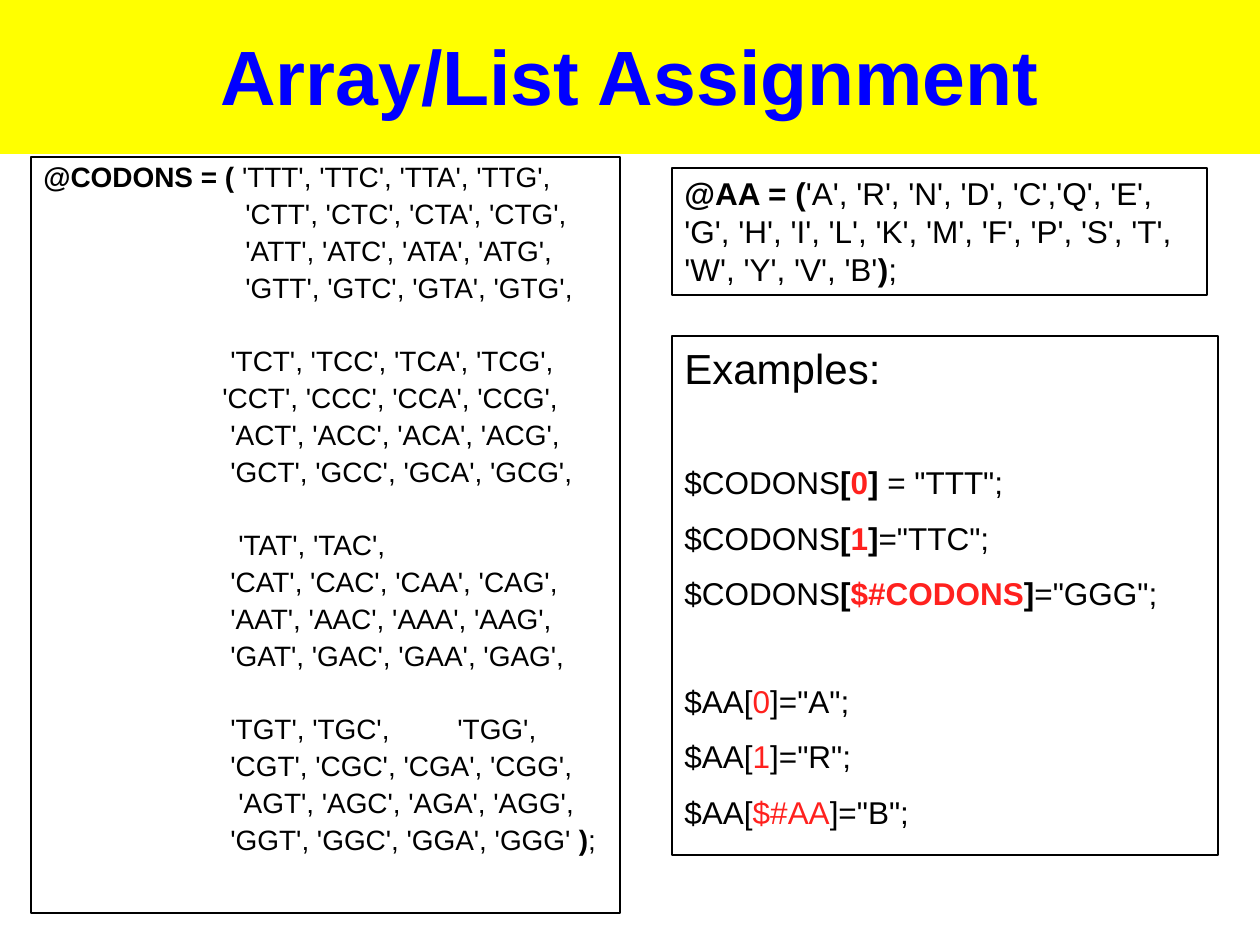
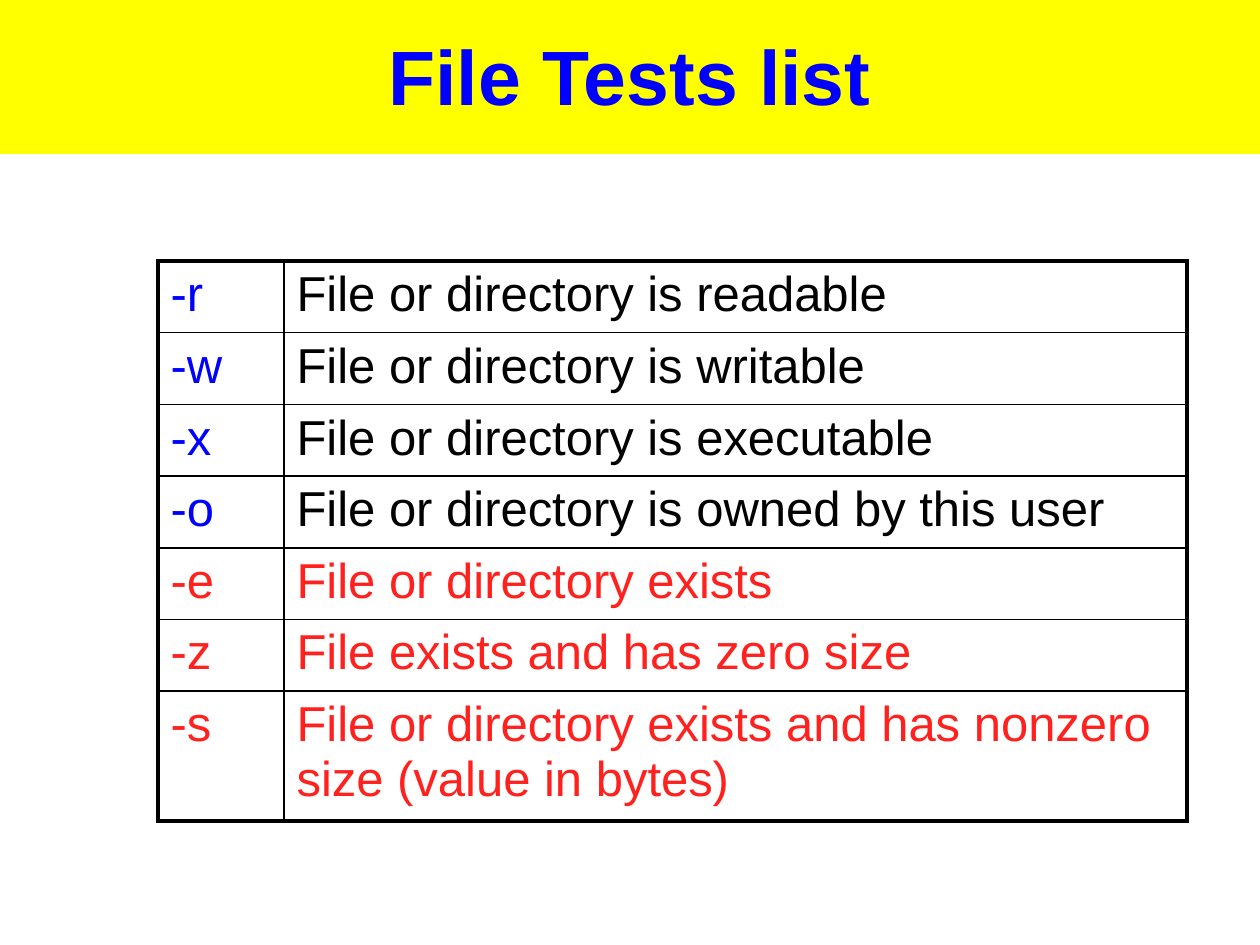
from lxml import etree
from pptx import Presentation
from pptx.dml.color import RGBColor
from pptx.enum.text import MSO_ANCHOR, PP_ALIGN
from pptx.oxml.ns import qn
from pptx.util import Emu, Pt

MIDDLE = MSO_ANCHOR.MIDDLE
CENTER = PP_ALIGN.CENTER
PX = 914400 / 126
FONT = "Arial"
COLORS = {"band": "FFFF00", "blue": "0000FF", "black": "000000", "red": "FF211E"}


def add_box(page, left, top, width, height):
    box = page.shapes.add_textbox(*(Emu(round(n * PX)) for n in (left, top, width, height)))
    box.text_frame.word_wrap = True
    return box


def write_spans(para, size, spans):
    for text, color, bold in spans:
        span = para.add_run()
        span.text = text
        span.font.name = FONT
        span.font.size = Pt(size)
        span.font.bold = bold
        span.font.color.rgb = RGBColor.from_string(COLORS[color])


deck = Presentation()
deck.slide_width = Emu(round(1260 * PX))
deck.slide_height = Emu(round(945 * PX))

pages = []
for title in ("Array/List Assignment", "File Tests list"):
    page = deck.slides.add_slide(deck.slide_layouts[6])
    band = add_box(page, 0, -4, 1260, 158)
    band.fill.solid()
    band.fill.fore_color.rgb = RGBColor.from_string(COLORS["band"])
    band.text_frame.vertical_anchor = MIDDLE
    band.text_frame.paragraphs[0].alignment = CENTER
    write_spans(band.text_frame.paragraphs[0], 44, [(title, "blue", True)])
    pages.append(page)
array_page, tests_page = pages

codon_box = add_box(array_page, 31, 157, 589, 756)
acid_box = add_box(array_page, 672, 168, 535, 127)
example_box = add_box(array_page, 672, 336, 546, 519)
for box in (codon_box, acid_box, example_box):
    box.line.color.rgb = RGBColor.from_string(COLORS["black"])
    box.line.width = Pt(0.75)

codon_groups = [
    [(0, "'TTT', 'TTC', 'TTA', 'TTG',"),
     (202, "'CTT', 'CTC', 'CTA', 'CTG',"),
     (202, "'ATT', 'ATC', 'ATA', 'ATG',"),
     (202, "'GTT', 'GTC', 'GTA', 'GTG',")],
    [(187, "'TCT', 'TCC', 'TCA', 'TCG',"),
     (179, "'CCT', 'CCC', 'CCA', 'CCG',"),
     (187, "'ACT', 'ACC', 'ACA', 'ACG',"),
     (187, "'GCT', 'GCC', 'GCA', 'GCG',")],
    [(195, "'TAT', 'TAC',"),
     (187, "'CAT', 'CAC', 'CAA', 'CAG',"),
     (187, "'AAT', 'AAC', 'AAA', 'AAG',"),
     (187, "'GAT', 'GAC', 'GAA', 'GAG',")],
    [(187, "'TGT', 'TGC',\t'TGG',"),
     (187, "'CGT', 'CGC', 'CGA', 'CGG',"),
     (195, "'AGT', 'AGC', 'AGA', 'AGG',"),
     (187, "'GGT', 'GGC', 'GGA', 'GGG' ")],
]
frame = codon_box.text_frame
para = frame.paragraphs[0]
for group_number, group in enumerate(codon_groups):
    for row_number, (start, codons) in enumerate(group):
        if start:
            para = frame.add_paragraph()
            para.space_before = Pt(3.9 if row_number else 24.4)
            spans = [("\t" + codons, "black", False)]
        else:
            spans = [("@CODONS = (", "black", True), (" " + codons, "black", False)]
        para.line_spacing = 0.9
        write_spans(para, 16, spans)
        if start:
            tabs = etree.SubElement(para._p.get_or_add_pPr(), qn("a:tabLst"))
            for stop in (start, 414):
                etree.SubElement(tabs, qn("a:tab"), pos=str(round(stop * PX)), algn="l")
write_spans(para, 16, [(")", "black", True), (";", "black", False)])

acids = ("'A', 'R', 'N', 'D', 'C','Q', 'E', 'G', 'H', 'I', 'L', 'K', "
         "'M', 'F', 'P', 'S', 'T', 'W', 'Y', 'V', 'B'")
write_spans(acid_box.text_frame.paragraphs[0], 18, [
    ("@AA = (", "black", True), (acids, "black", False),
    (")", "black", True), (";", "black", False)])

frame = example_box.text_frame
write_spans(frame.paragraphs[0], 24, [("Examples:", "black", False)])
example_groups = [
    ("$CODONS", True, [("0", ' = "TTT";'), ("1", '="TTC";'), ("$#CODONS", '="GGG";')]),
    ("$AA", False, [("0", '="A";'), ("1", '="R";'), ("$#AA", '="B";')]),
]
for array, bold, examples in example_groups:
    for number, (index, value) in enumerate(examples):
        para = frame.add_paragraph()
        para.space_before = Pt(9.9 if number else 40.5)
        write_spans(para, 18, [
            (array, "black", False), ("[", "black", bold), (index, "red", bold),
            ("]", "black", bold), (value, "black", False)])

tests = [
    ("-r", "File or directory is readable", "blue", "black"),
    ("-w", "File or directory is writable", "blue", "black"),
    ("-x", "File or directory is executable", "blue", "black"),
    ("-o", "File or directory is owned by this user", "blue", "black"),
    ("-e", "File or directory exists", "red", "red"),
    ("-z", "File exists and has zero size", "red", "red"),
    ("-s", "File or directory exists and has nonzero size (value in bytes)", "red", "red"),
]
row_heights = [71, 72, 71, 72, 71, 71, 130]
table = tests_page.shapes.add_table(
    len(tests), 2, *(Emu(round(n * PX)) for n in (158, 261, 1029, 558))).table
table.first_row = False
table.horz_banding = False
for column, width in zip(table.columns, (126, 903)):
    column.width = Emu(round(width * PX))
for row_number, (flag, meaning, flag_color, meaning_color) in enumerate(tests):
    table.rows[row_number].height = Emu(round(row_heights[row_number] * PX))
    for column_number, (text, color) in enumerate(((flag, flag_color), (meaning, meaning_color))):
        cell = table.cell(row_number, column_number)
        cell.fill.background()
        write_spans(cell.text_frame.paragraphs[0], 28, [(text, color, False)])
        outer_sides = {
            "lnL": column_number == 0,
            "lnR": column_number == 1,
            "lnT": row_number == 0,
            "lnB": row_number == len(tests) - 1,
        }
        properties = cell._tc.get_or_add_tcPr()
        for position, (side, outer) in enumerate(outer_sides.items()):
            border = etree.Element(qn("a:" + side), w=str(Pt(2.25 if outer else 1)))
            fill = etree.SubElement(border, qn("a:solidFill"))
            etree.SubElement(fill, qn("a:srgbClr"), val=COLORS["black"])
            properties.insert(position, border)

deck.save("out.pptx")
